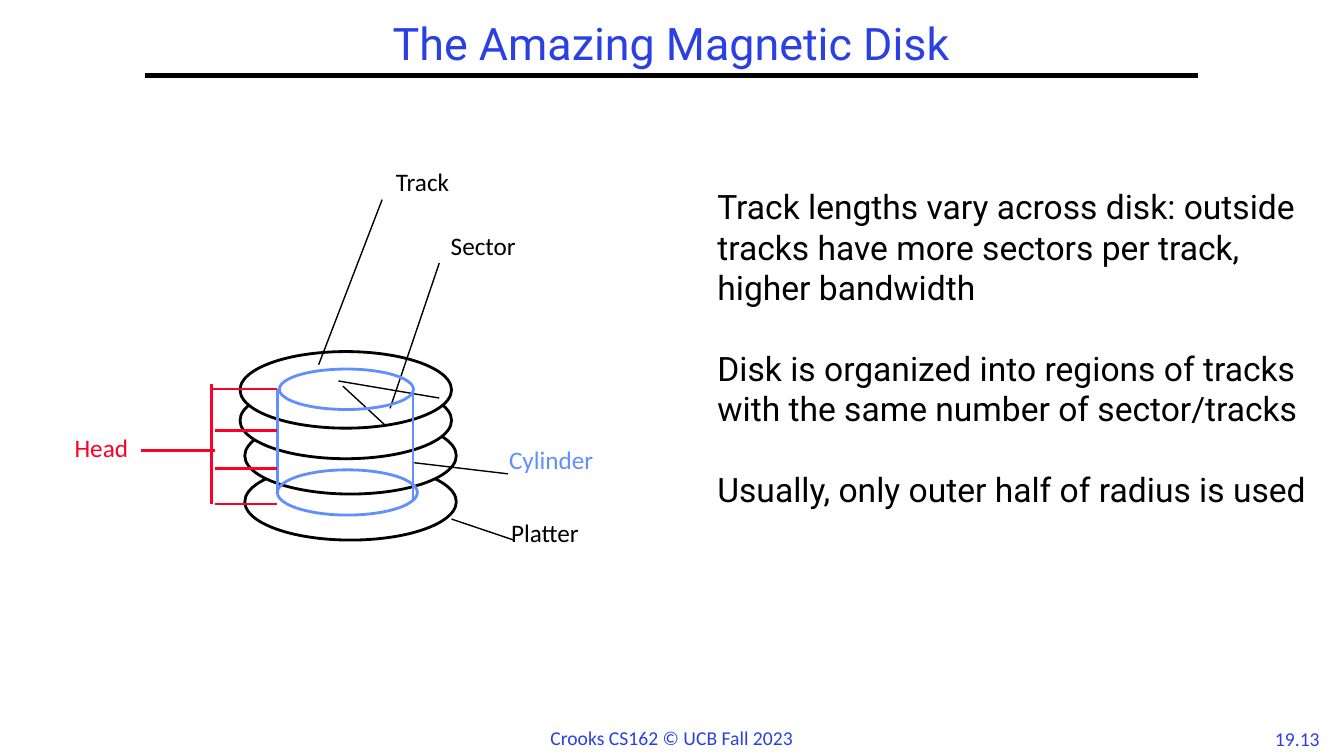
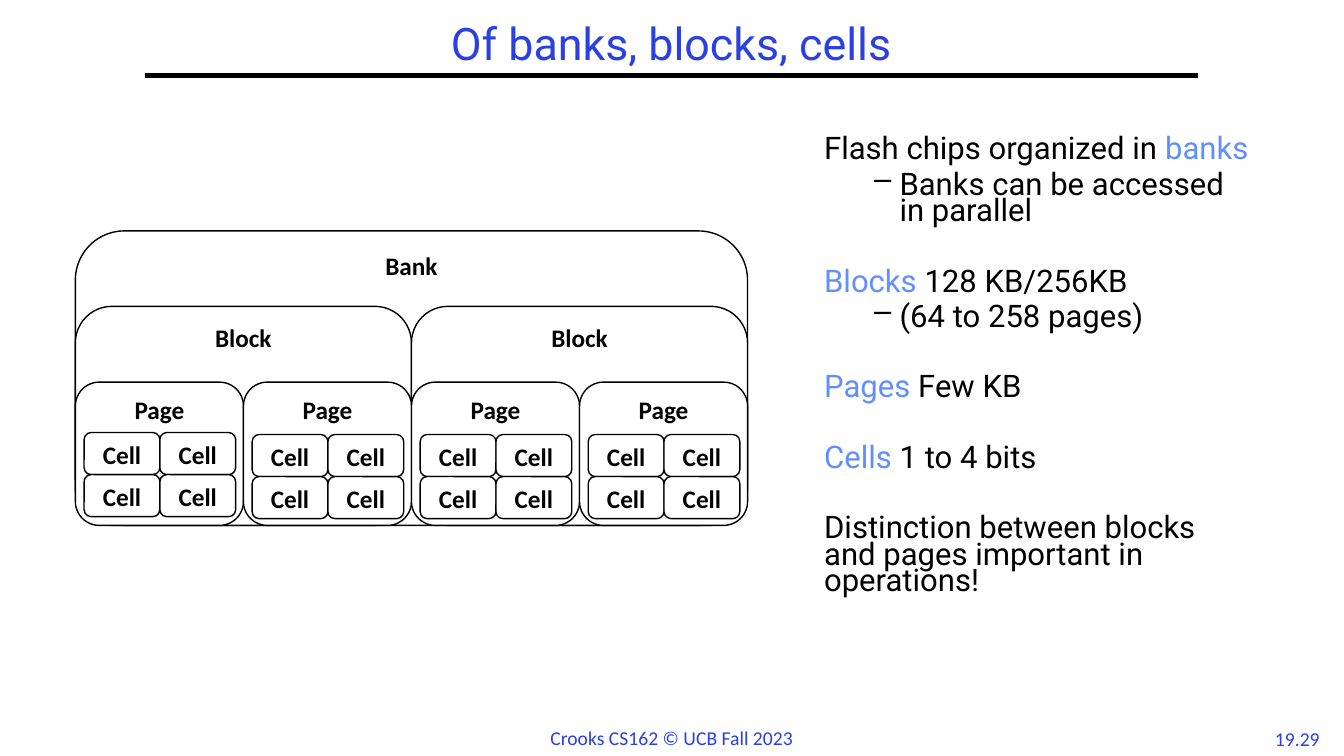
from lxml.etree import SubElement
from pptx import Presentation
from pptx.dml.color import RGBColor
from pptx.enum.shapes import MSO_CONNECTOR, MSO_SHAPE
from pptx.enum.text import MSO_ANCHOR, PP_ALIGN
from pptx.oxml.ns import qn
from pptx.util import Cm, Pt

BLACK, WHITE = "000000", "FFFFFF"
TITLE_BLUE, LIGHT_BLUE, RED = "2A40E2", "618FFD", "FC0128"
HEADING_FONT, LABEL_FONT = "Roboto", "Calibri"


def color(value):
    return RGBColor.from_string(value)


class Deck:
    """Holds the shared style and the slide being built."""

    def __init__(self):
        self.presentation = Presentation()
        self.presentation.slide_width = Cm(33.87)
        self.presentation.slide_height = Cm(19.05)
        self.slide = None

    def add_slide(self, title, number):
        layout = self.presentation.slide_layouts[6]
        self.slide = self.presentation.slides.add_slide(layout)
        self.footer(31.83, 18.19, 1.73, number)
        self.line(3.66, 1.9, 30.2, 1.9, width=3)
        self.footer(13.59, 18.16, 6.68, "Crooks CS162 © UCB Fall 2023")
        frame = self.text_box(3.66, 0.43, 26.52, 1.47)
        frame.vertical_anchor = MSO_ANCHOR.MIDDLE
        self.paragraph(frame, [(title, TITLE_BLUE)], 32, HEADING_FONT,
                       PP_ALIGN.CENTER, spacing=0.9)

    def footer(self, left, top, width, text):
        frame = self.text_box(left, top, width, 0.85)
        frame.word_wrap = False
        self.paragraph(frame, [(text, TITLE_BLUE)], 14, LABEL_FONT, PP_ALIGN.CENTER)

    def text_box(self, left, top, width, height):
        box = self.slide.shapes.add_textbox(Cm(left), Cm(top), Cm(width), Cm(height))
        box.text_frame.word_wrap = True
        return box.text_frame

    def paragraph(self, frame, runs, size, font, align=PP_ALIGN.LEFT,
                  spacing=1.0, before=0, bold=False):
        """Add a paragraph of (text, colour) runs, using the empty first one if any."""
        paragraph = frame.paragraphs[0]
        if paragraph.runs:
            paragraph = frame.add_paragraph()
        paragraph.alignment = align
        paragraph.line_spacing = spacing
        paragraph.space_before = Pt(before)
        for text, text_color in runs:
            run = paragraph.add_run()
            run.text = text
            run.font.size = Pt(size)
            run.font.name = font
            run.font.bold = bold
            run.font.color.rgb = color(text_color)
        return paragraph

    def dash(self, paragraph):
        """Indent the paragraph and give it a dash bullet."""
        properties = paragraph._p.get_or_add_pPr()
        properties.set("marL", str(Cm(1.9)))
        properties.set("indent", str(-Cm(0.64)))
        SubElement(properties, qn("a:buChar"), char="–")

    def label(self, text, left, top, text_color=BLACK):
        frame = self.text_box(left, top, 3, 1.3)
        frame.margin_left = frame.margin_right = Cm(0.18)
        frame.margin_top = frame.margin_bottom = Cm(0.08)
        self.paragraph(frame, [(text, text_color)], 18, LABEL_FONT, spacing=0.85)

    def line(self, x1, y1, x2, y2, line_color=BLACK, width=1):
        connector = self.slide.shapes.add_connector(
            MSO_CONNECTOR.STRAIGHT, Cm(x1), Cm(y1), Cm(x2), Cm(y2))
        connector.line.color.rgb = color(line_color)
        connector.line.width = Pt(width)
        SubElement(connector._element.spPr, qn("a:effectLst"))

    def shape(self, kind, left, top, width, height, fill=WHITE,
              line_color=BLACK, line_width=1):
        shape = self.slide.shapes.add_shape(
            kind, Cm(left), Cm(top), Cm(width), Cm(height))
        shape.shadow.inherit = False
        if fill:
            shape.fill.solid()
            shape.fill.fore_color.rgb = color(fill)
        else:
            shape.fill.background()
        shape.line.color.rgb = color(line_color)
        shape.line.width = Pt(line_width)
        return shape

    def unit(self, text, left, top, width, height):
        """Draw one named, rounded part of the flash chip."""
        frame = self.shape(MSO_SHAPE.ROUNDED_RECTANGLE, left, top, width, height).text_frame
        frame.word_wrap = True
        frame.vertical_anchor = MSO_ANCHOR.TOP
        self.paragraph(frame, [(text, BLACK)], 18, LABEL_FONT, PP_ALIGN.CENTER, bold=True)


def build_disk_slide(deck):
    deck.add_slide("The Amazing Magnetic Disk", "19.13")
    for left, top in [(6.17, 11.68), (6.17, 10.52), (6.05, 9.63), (6.05, 8.86)]:
        deck.shape(MSO_SHAPE.OVAL, left, top, 5.33, 1.93, line_width=2)

    sector_edges = [(8.64, 9.73, 9.68, 10.69), (8.53, 9.6, 11.07, 10.03)]
    leaders = [(9.83, 10.29, 11.07, 6.63), (8.03, 9.19, 9.63, 5.03),
               (10.44, 11.66, 12.8, 11.94), (11.38, 13.08, 12.95, 13.61)]
    for ends in sector_edges + leaders:
        deck.line(*ends)

    for box in [(6.99, 11.84, 3.53, 1.14), (7.04, 9.3, 3.38, 1.02)]:
        deck.shape(MSO_SHAPE.OVAL, *box, fill=None, line_color=LIGHT_BLUE, line_width=2)
    for x, bottom in [(6.99, 12.4), (10.41, 12.57)]:
        deck.line(x, 9.8, x, bottom, LIGHT_BLUE, 2)

    deck.line(5.33, 9.68, 5.33, 12.7, RED, 2)
    deck.line(5.41, 11.35, 3.56, 11.35, RED, 2)
    for left, y in [(5.28, 9.8), (5.41, 10.85), (5.41, 11.81), (5.41, 12.7)]:
        deck.line(left, y, 6.99, y, RED, 2)

    deck.label("Track", 9.8, 4.24)
    deck.label("Sector", 11.18, 5.84)
    deck.label("Cylinder", 12.65, 11.23, LIGHT_BLUE)
    deck.label("Platter", 12.7, 13.08)
    deck.label("Head", 1.7, 10.92, RED)

    frame = deck.text_box(17.83, 4.57, 15.93, 11.53)
    statements = [
        "Track lengths vary across disk: outside tracks have more sectors per track, "
        "higher bandwidth",
        "Disk is organized into regions of tracks with the same number of sector/tracks",
        "Usually, only outer half of radius is used",
    ]
    for index, text in enumerate(statements):
        deck.paragraph(frame, [(text, BLACK)], 24, HEADING_FONT,
                       before=28.8 if index else 0)


def build_flash_slide(deck):
    deck.add_slide("Of banks, blocks, cells", "19.29")
    left, bottom, bank_width = 1.9, 13.24, 16.94
    for name, count, top in [("Bank", 1, 5.82), ("Block", 2, 7.72), ("Page", 4, 9.63)]:
        width = bank_width / count
        for index in range(count):
            deck.unit(name, left + index * width, top, width, bottom - top)

    cell_width, cell_height = 1.91, 1.06
    for page in range(4):
        cells_left = left + page * bank_width / 4 + 0.22
        cells_top = 10.95 if page else 10.9
        for column in range(2):
            for row in range(2):
                deck.unit("Cell", cells_left + column * cell_width,
                          cells_top + row * cell_height, cell_width, cell_height)

    frame = deck.text_box(20.52, 3.38, 11.23, 14.17)
    near, far = 6.7, 31.7
    items = [
        (near, False, [("Flash chips organized in ", BLACK), ("banks", LIGHT_BLUE)]),
        (near, True, [("Banks can be accessed in parallel", BLACK)]),
        (far, False, [("Blocks", LIGHT_BLUE), (" 128 KB/256KB", BLACK)]),
        (near, True, [("(64 to 258 pages)", BLACK)]),
        (far, False, [("Pages", LIGHT_BLUE), (" Few KB", BLACK)]),
        (far, False, [("Cells", LIGHT_BLUE), (" 1 to 4 bits", BLACK)]),
        (far, False, [("Distinction between blocks and pages important in operations!",
                       BLACK)]),
    ]
    for before, dashed, runs in items:
        paragraph = deck.paragraph(frame, runs, 22.2, HEADING_FONT,
                                   spacing=0.7, before=before)
        if dashed:
            deck.dash(paragraph)


def main():
    deck = Deck()
    build_disk_slide(deck)
    build_flash_slide(deck)
    deck.presentation.save("out.pptx")


if __name__ == "__main__":
    main()
